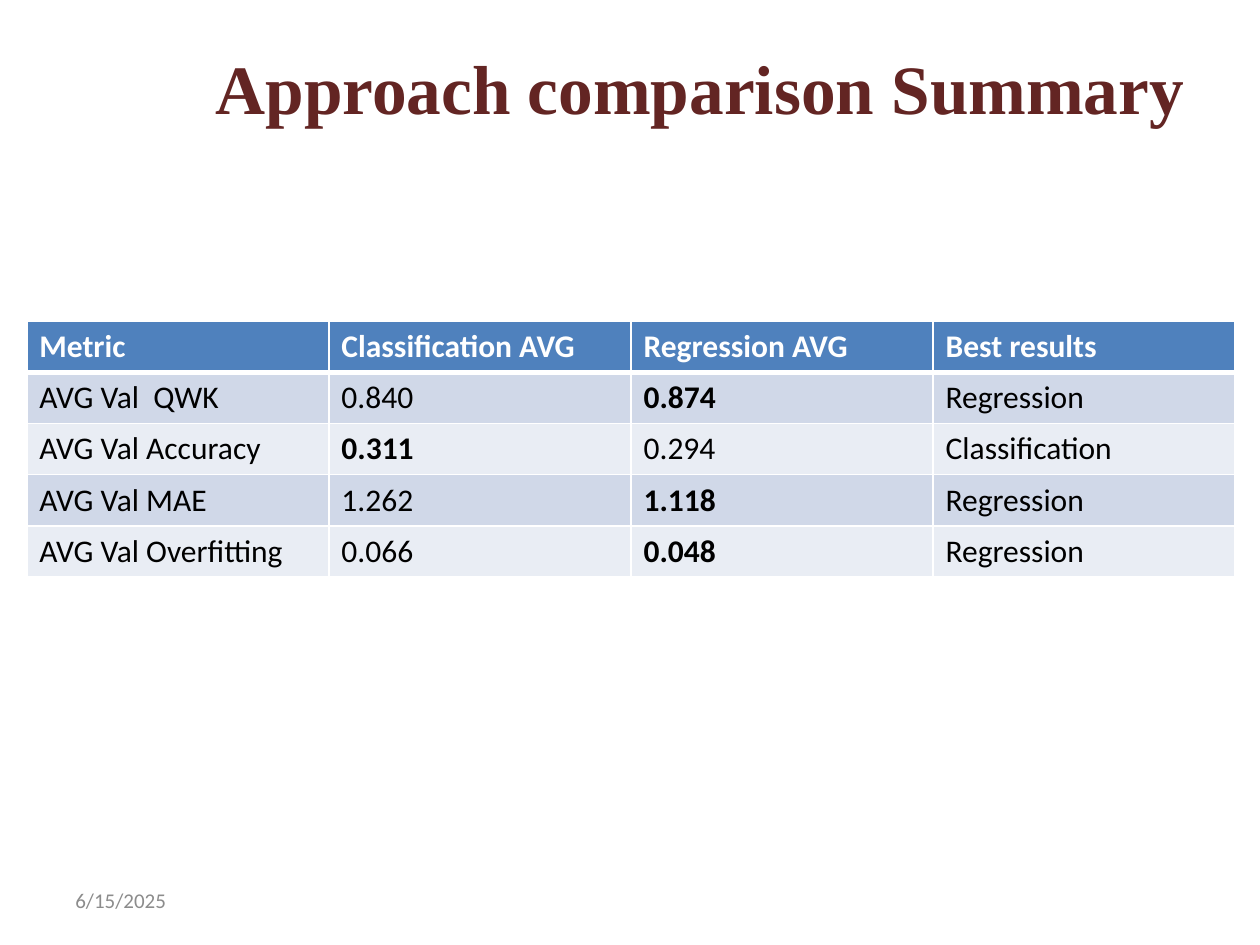
from lxml import etree
from pptx import Presentation
from pptx.dml.color import RGBColor
from pptx.enum.text import MSO_ANCHOR, PP_ALIGN
from pptx.oxml.ns import qn
from pptx.util import Cm, Pt

MIDDLE = MSO_ANCHOR.MIDDLE
LEFT, RIGHT = PP_ALIGN.LEFT, PP_ALIGN.RIGHT

MAROON = RGBColor(0x63, 0x25, 0x23)
GRAY = RGBColor(0x8C, 0x8C, 0x8C)
BLUE = RGBColor(0x4F, 0x81, 0xBD)
BAND_DARK = RGBColor(0xD0, 0xD8, 0xE8)
BAND_LIGHT = RGBColor(0xE9, 0xED, 0xF4)
WHITE = RGBColor(0xFF, 0xFF, 0xFF)
BLACK = RGBColor(0, 0, 0)

TITLE_ONLY = 5
HEADER = ["Metric", "Classification AVG", "Regression AVG", "Best results"]
RESULTS = [
    ["AVG Val  QWK", "0.840", "0.874", "Regression"],
    ["AVG Val Accuracy", "0.311", "0.294", "Classification"],
    ["AVG Val MAE", "1.262", "1.118", "Regression"],
    ["AVG Val Overfitting", "0.066", "0.048", "Regression"],
]


class SlideBuilder:
    body_font = "Calibri"
    title_font = "Times New Roman"

    def __init__(self, slide):
        self.slide = slide

    def set_text(self, frame, text, size, color, bold=False, font=None, align=LEFT):
        frame.text = text
        para = frame.paragraphs[0]
        para.alignment = align
        para.font.name = font or self.body_font
        para.font.size = Pt(size)
        para.font.bold = bold
        para.font.color.rgb = color

    def title(self, text, left, top, width, height):
        box = self.slide.shapes.title
        box.left, box.top, box.width, box.height = map(Cm, (left, top, width, height))
        box.text_frame.vertical_anchor = MIDDLE
        self.set_text(box.text_frame, text, 39.6, MAROON, True, self.title_font, RIGHT)

    def label(self, text, left, top, width, height):
        box = self.slide.shapes.add_textbox(*map(Cm, (left, top, width, height)))
        box.text_frame.word_wrap = True
        box.text_frame.vertical_anchor = MIDDLE
        self.set_text(box.text_frame, text, 12, GRAY)

    def borders(self, cell, top, bottom):
        """Draw white cell edges; call before filling, as lines precede the fill in the XML."""
        properties = cell._tc.get_or_add_tcPr()
        for side, points in (("L", 1), ("R", 1), ("T", top), ("B", bottom)):
            line = etree.SubElement(properties, qn(f"a:ln{side}"), w=str(Pt(points)))
            fill = etree.SubElement(line, qn("a:solidFill"))
            etree.SubElement(fill, qn("a:srgbClr"), val=str(WHITE))

    def table(self, header, results, left, top, width, height):
        rows = [header, *results]
        frame = self.slide.shapes.add_table(
            len(rows), len(header), *map(Cm, (left, top, width, height)))
        for r, values in enumerate(rows):
            is_header = r == 0
            band = BLUE if is_header else BAND_DARK if r % 2 else BAND_LIGHT
            for c, text in enumerate(values):
                cell = frame.table.cell(r, c)
                self.borders(cell, 3 if r == 1 else 1, 3 if is_header else 1)
                cell.fill.solid()
                cell.fill.fore_color.rgb = band
                is_winner = header[c] == f"{values[-1]} AVG"
                self.set_text(cell.text_frame, text, 18,
                              WHITE if is_header else BLACK, is_header or is_winner)


def main():
    deck = Presentation()
    deck.slide_width, deck.slide_height = Cm(25.4), Cm(19.05)
    page = SlideBuilder(deck.slides.add_slide(deck.slide_layouts[TITLE_ONLY]))
    page.title("Approach comparison Summary", 1.27, 0.76, 22.86, 1.98)
    page.label("6/15/2025", 1.27, 17.65, 5.93, 1.01)
    page.table(HEADER, RESULTS, 0.54, 6.48, 24.36, 5.15)
    deck.save("out.pptx")


if __name__ == "__main__":
    main()
